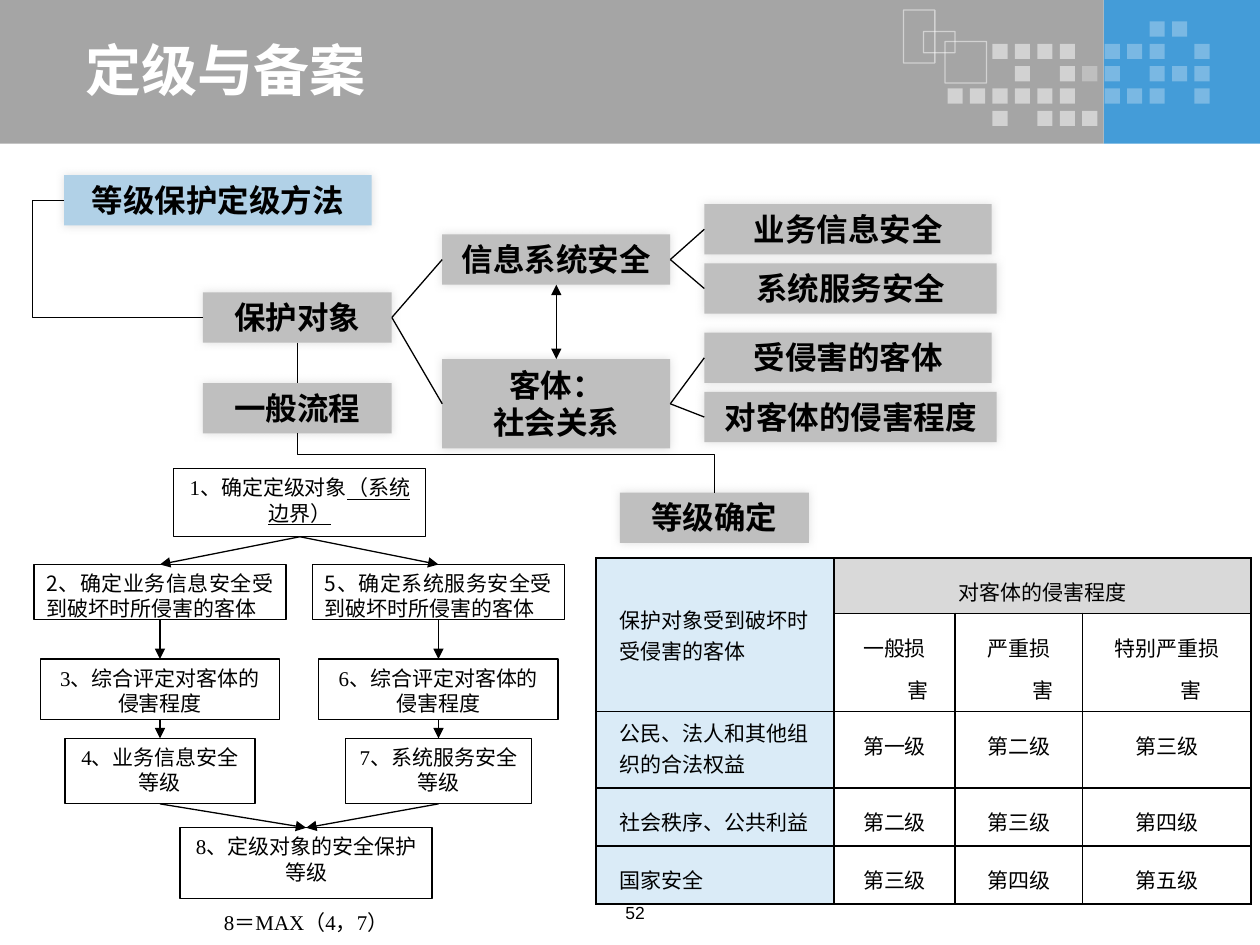
from lxml import etree
from pptx import Presentation
from pptx import util as u
from pptx.dml.color import RGBColor
from pptx.enum import shapes, text
from pptx.oxml.ns import qn

Inches, Pt = u.Inches, u.Pt
COLORS = {
    "black": "000000", "white": "FFFFFF", "banner": "A5A5A5", "accent": "449CD8",
    "method": "B1D1E7", "concept": "BFBFBF", "shadow": "C0C0C0",
    "label": "DAEBF7", "header": "D9D9D9",
}
CJK_FONT = "Noto Sans CJK SC"
TOP, LEFT, BOTTOM, RIGHT = range(4)  # connection sites of a rectangle
ALIGN = text.PP_ALIGN


def rgb(name):
    return RGBColor.from_string(COLORS[name])


def add_xml(parent, tag, **attributes):
    values = {key: str(value) for key, value in attributes.items()}
    return etree.SubElement(parent, qn(tag), values)


def set_alpha(fill_parent, percent):
    color = next(fill_parent.iter(qn("a:srgbClr")))
    add_xml(color, "a:alpha", val=percent * 1000)


def style(paragraph, size, latin=CJK_FONT, color="black", bold=False, align=ALIGN.CENTER):
    paragraph.alignment = align
    font = paragraph.font
    font.size, font.name, font.bold = Pt(size), latin, bold
    font.color.rgb = rgb(color)
    defaults = paragraph._p.get_or_add_pPr().get_or_add_defRPr()
    add_xml(defaults, "a:ea", typeface=CJK_FONT)


def add_box(slide, left, top, width, height, fill=None, line=None):
    box = slide.shapes.add_shape(
        shapes.MSO_SHAPE.RECTANGLE, Inches(left), Inches(top), Inches(width), Inches(height))
    box.shadow.inherit = False
    if fill:
        box.fill.solid()
        box.fill.fore_color.rgb = rgb(fill)
    else:
        box.fill.background()
    if line:
        box.line.color.rgb = rgb(line)
        box.line.width = Pt(0.75)
    else:
        box.line.fill.background()
    return box


def format_line(connector, head=False, tail=False):
    connector.line.color.rgb = rgb("black")
    connector.line.width = Pt(0.75)
    outline = connector.line._get_or_add_ln()
    if head:
        add_xml(outline, "a:headEnd", type="triangle")
    if tail:
        add_xml(outline, "a:tailEnd", type="triangle")
    add_xml(connector._element.spPr, "a:effectLst")


def link(slide, start, start_site, end, end_site, **arrows):
    connector = slide.shapes.add_connector(shapes.MSO_CONNECTOR.STRAIGHT, 0, 0, 0, 0)
    connector.begin_connect(start, start_site)
    connector.end_connect(end, end_site)
    format_line(connector, **arrows)


def add_elbow(slide, start, end, bend, upright=False):
    """Draw a bent line; an upright one leaves and arrives vertically."""
    (x1, y1), (x2, y2) = start, end
    if upright:  # a quarter turn about the centre brings the ends into place
        mid_x, mid_y = (x1 + x2) / 2, (y1 + y2) / 2
        half_x, half_y = (x1 - x2) / 2, (y1 - y2) / 2
        x1, y1, x2, y2 = mid_x + half_y, mid_y - half_x, mid_x - half_y, mid_y + half_x
    elbow = slide.shapes.add_connector(
        shapes.MSO_CONNECTOR.ELBOW, Inches(x1), Inches(y1), Inches(x2), Inches(y2))
    properties = elbow._element.spPr
    if upright:
        properties.find(qn("a:xfrm")).set("rot", "5400000")
    guides = properties.find(qn("a:prstGeom")).get_or_add_avLst()
    add_xml(guides, "a:gd", name="adj1", fmla=f"val {round(bend * 100000)}")
    format_line(elbow)


def add_banner(slide, left, top, height):
    add_box(slide, left + 8.76, top, 1.24, height, "accent")
    add_box(slide, left, top, 8.76, height, "banner")
    mosaic = [
        ".........++.",
        "..####.+++.+",
        "...#.#++.+++",
        "######.+++.+",
        "..#.###.....",
    ]
    for row, marks in enumerate(mosaic):
        for column, mark in enumerate(marks):
            if mark != ".":
                tile = add_box(slide, left + 7.52 + column * 1.96 / 11,
                               top + 0.17 + row * 0.71 / 4, 0.12, 0.12, "white")
                set_alpha(tile._element.spPr, 50 if mark == "#" else 29)
    for x, y, w, h in [(7.17, 0.08, 0.25, 0.42), (7.33, 0.25, 0.25, 0.17), (7.5, 0.33, 0.33, 0.33)]:
        frame = add_box(slide, left + x, top + y, w, h, line="white")
        set_alpha(frame._element.spPr, 50)


def place_title(slide, left, top, width, height):
    title = slide.shapes.title
    title.left, title.top, title.width, title.height = map(Inches, (left, top, width, height))
    title.text = "定级与备案"
    title.text_frame.vertical_anchor = text.MSO_ANCHOR.MIDDLE
    style(title.text_frame.paragraphs[0], 32, color="white", bold=True, align=ALIGN.LEFT)
    slide.shapes._spTree.append(title._element)  # in front of the banner


def add_concept_map(slide, left, top):
    def concept(words, x, y, width, height=0.4, fill="concept"):
        box = add_box(slide, left + x, top + y, width, height, fill)
        effects = box._element.spPr.find(qn("a:effectLst"))
        shadow = add_xml(effects, "a:outerShdw", blurRad=Pt(5), dist=0, dir=0)
        color = add_xml(shadow, "a:srgbClr", val=COLORS["shadow"])
        add_xml(color, "a:alpha", val=50000)
        box.text_frame.text = words
        for paragraph in box.text_frame.paragraphs:
            style(paragraph, 18, "Arial", bold=True)
            paragraph.line_spacing = Pt(21)
        return box

    concept("等级保护定级方法", 0, 0, 2.44, fill="method")
    target = concept("保护对象", 1.1, 0.93, 1.5)
    process = concept("一般流程", 1.1, 1.65, 1.5)
    concept("等级确定", 4.41, 2.52, 1.5)
    system = concept("信息系统安全", 3, 0.47, 1.81)
    relations = concept("客体：\n社会关系", 3, 1.46, 1.81, 0.71)
    branches = [
        (system, "业务信息安全", 0.23, 2.28), (system, "系统服务安全", 0.7, 2.32),
        (relations, "受侵害的客体", 1.25, 2.28), (relations, "对客体的侵害程度", 1.72, 2.32),
    ]
    for parent, words, y, width in branches:
        link(slide, parent, RIGHT, concept(words, 5.08, y, width), LEFT)
    for child in (system, relations):
        link(slide, target, RIGHT, child, LEFT)
    link(slide, system, BOTTOM, relations, TOP, head=True, tail=True)
    link(slide, target, BOTTOM, process, TOP)
    add_elbow(slide, (left, top + 0.2), (left + 1.1, top + 1.13), -0.23)
    add_elbow(slide, (left + 5.16, top + 2.52), (left + 1.85, top + 2.05), 0.65, upright=True)


def add_flowchart(slide, left, top):
    def step(words, center, y, width, height, latin="Times New Roman", align=ALIGN.CENTER):
        box = add_box(slide, left + center - width / 2, top + y, width, height, "white", "black")
        box.text_frame.vertical_anchor = text.MSO_ANCHOR.TOP
        box.text_frame.text = words
        for paragraph in box.text_frame.paragraphs:
            style(paragraph, 12, latin, align=align)
            paragraph.line_spacing = Pt(14.4)
        return box

    scope = step("1、确定定级对象", 2.11, 0, 2, 0.54)
    boundary = scope.text_frame.paragraphs[0].add_run()
    boundary.text = "（系统边界）"
    boundary.font.underline = True
    result = step("8、定级对象的安全保护等级\n8＝MAX（4，7）", 2.16, 2.85, 2, 0.56)
    result.text_frame.paragraphs[1].space_before = Pt(14.4)

    tracks = [(1, 2, "业务信息安全", 1.51), (3.21, 5, "系统服务安全", 1.48)]
    for center, number, subject, grade_width in tracks:
        harmed = step(f"{number}、确定{subject}受到破坏时所侵害的客体",
                      center, 0.76, 2, 0.44, CJK_FONT, ALIGN.JUSTIFY)
        degree = step(f"{number + 1}、综合评定对客体的侵害程度", center, 1.51, 1.9, 0.48)
        grade = step(f"{number + 2}、{subject}等级", center, 2.14, grade_width, 0.52)
        chain = [scope, harmed, degree, grade, result]
        for start, end in zip(chain, chain[1:]):
            link(slide, start, BOTTOM, end, TOP, tail=True)


def add_grade_table(slide, left, top, width, height):
    rows = [
        ["保护对象受到破坏时受侵害的客体", "对客体的侵害程度", "", ""],
        ["", "一般损害", "严重损害", "特别严重损害"],
        ["公民、法人和其他组织的合法权益", "第一级", "第二级", "第三级"],
        ["社会秩序、公共利益", "第二级", "第三级", "第四级"],
        ["国家安全", "第三级", "第四级", "第五级"],
    ]
    table = slide.shapes.add_table(
        5, 4, Inches(left), Inches(top), Inches(width), Inches(height)).table
    table.first_row = table.horz_banding = False
    for column, size in zip(table.columns, (1.89, 0.96, 1.01, 1.34)):
        column.width = Inches(size)
    for row, size in zip(table.rows, (0.41, 0.46, 0.61, 0.46, 0.46)):
        row.height = Inches(size)
    for r, row in enumerate(rows):
        for c, words in enumerate(row):
            cell = table.cell(r, c)
            cell.text = words
            cell.margin_left = cell.margin_right = Inches(0.19)
            paragraph = cell.text_frame.paragraphs[0]
            style(paragraph, 12, align=ALIGN.CENTER if c else ALIGN.LEFT)
            if c or r > 2:
                paragraph.line_spacing = 1.4
            if c:
                hanging = paragraph._p.get_or_add_pPr()
                hanging.set("marL", str(Inches(0.38)))
                hanging.set("indent", str(Inches(-0.38)))
            properties = cell._tc.get_or_add_tcPr()
            for side in ("a:lnL", "a:lnR", "a:lnT", "a:lnB"):
                border = add_xml(properties, side, w=Pt(1))
                add_xml(add_xml(border, "a:solidFill"), "a:srgbClr", val=COLORS["black"])
            cell.fill.solid()
            cell.fill.fore_color.rgb = rgb("label" if c == 0 else "header" if r == 0 else "white")
    table.cell(0, 0).merge(table.cell(1, 0))
    table.cell(0, 1).merge(table.cell(0, 3))
    table.cell(0, 0).vertical_anchor = text.MSO_ANCHOR.MIDDLE


def add_page_number(slide, left, top, width, height):
    number = slide.shapes.add_textbox(Inches(left), Inches(top), Inches(width), Inches(height))
    number.text_frame.word_wrap = True
    number.text_frame.text = "52"
    style(number.text_frame.paragraphs[0], 10, "Arial")


def main():
    deck = Presentation()
    deck.slide_width, deck.slide_height = Inches(10), Inches(7.5)
    slide = deck.slides.add_slide(deck.slide_layouts[5])
    add_banner(slide, 0, 0, 1.14)
    place_title(slide, 0.58, 0.28, 7.76, 0.53)
    add_grade_table(slide, 4.73, 4.43, 5.2, 2.4)
    add_page_number(slide, 4.58, 7.11, 0.92, 0.29)
    add_concept_map(slide, 0.51, 1.39)
    add_flowchart(slide, 0.27, 3.72)
    deck.save("out.pptx")


if __name__ == "__main__":
    main()
